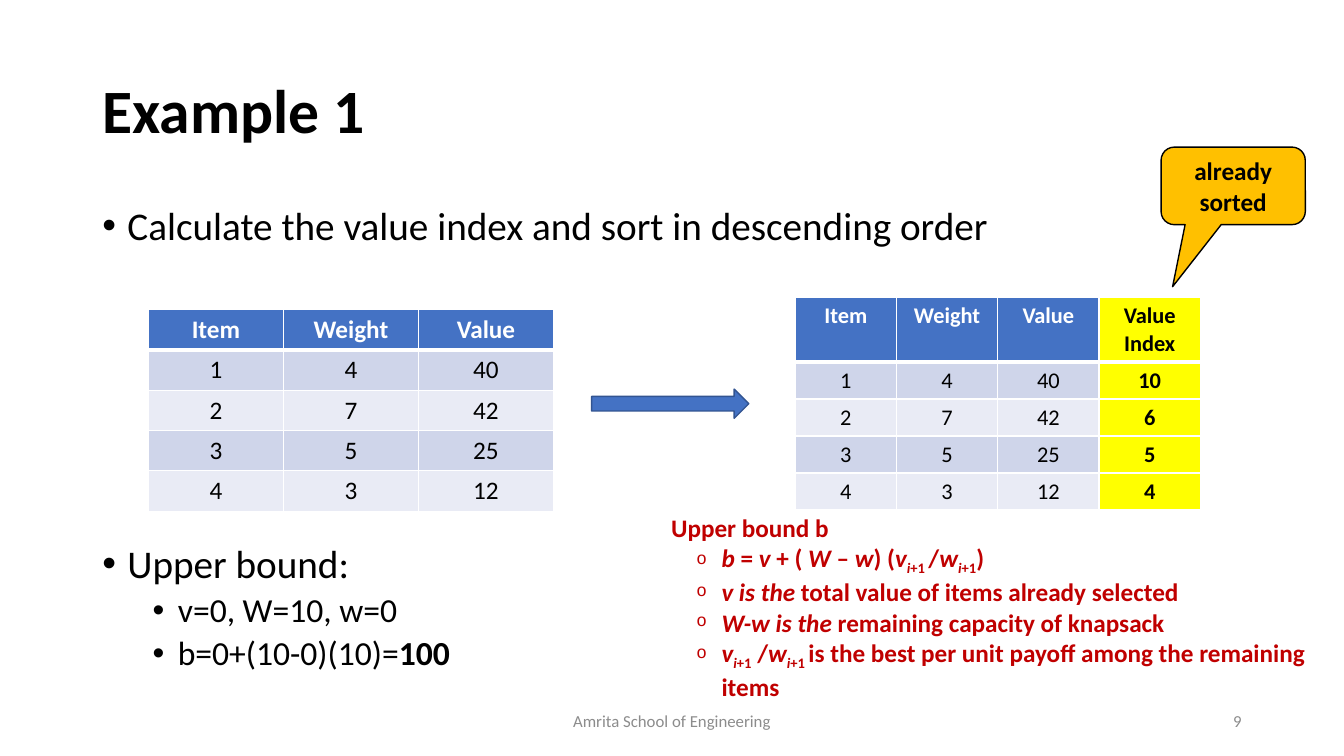
from lxml.etree import SubElement
from pptx import Presentation
from pptx.dml.color import RGBColor
from pptx.enum.shapes import MSO_SHAPE as Shape
from pptx.enum.text import MSO_ANCHOR as Anchor, PP_ALIGN as Align
from pptx.oxml.ns import qn
from pptx.util import Pt

THEME = {
    "font": "Calibri",
    "black": "000000", "white": "FFFFFF", "grey": "8C8C8C", "red": "C00000",
    "blue": "4472C4", "blue_edge": "325491", "yellow": "FFFF00", "amber": "FFC000",
    "bands": ("CFD5EA", "E9EBF5"),
    "title": 44, "body": 28, "sub": 24, "note": 18, "small": 16, "footer": 12,
}

TITLE = [("Example 1", "b")]
STEPS = [
    (0, 0, [("Calculate the value index and sort in descending order", "")]),
    (0, 211, [("Upper bound:", "")]),
    (1, 5, [("v=0, W=10, w=0", "")]),
    (1, 5, [("b=0+(10-0)(10)=", ""), ("100", "b")]),
]
FOOTER = [("Amrita School of Engineering", "")]
PAGE = [("9", "")]
CALLOUT = [("already sorted", "b")]

HEADER = ["Item", "Weight", "Value"]
ITEMS = [(1, 4, 40), (2, 7, 42), (3, 5, 25), (4, 3, 12)]
INDEXED = [(*item, item[2] // item[1]) for item in ITEMS]

BOUND_HEAD = [("Upper bound b", "b")]
BOUND = [
    [("b ", "bi"), ("= ", "b"), ("v ", "bi"), ("+ ( ", "b"), ("W ", "bi"), ("– ", "b"),
     ("w", "bi"), (") (", "b"), ("v", "bi"), ("i", "bis"), ("+1 ", "bs"), ("/", "b"),
     ("w", "bi"), ("i", "bis"), ("+1", "bs"), (")", "b")],
    [("v is the", "bi"), (" total value of items already selected", "b")],
    [("W-w is the", "bi"), (" remaining capacity of knapsack", "b")],
    [("v", "bi"), ("i", "bis"), ("+1", "bs"), (" /", "b"), ("w", "bi"), ("i", "bis"),
     ("+1 ", "bs"), ("is the best per unit payoff among the remaining items", "b")],
]


def rgb(name):
    return RGBColor.from_string(THEME.get(name, name))


def add_runs(p, runs, size, color, align=Align.LEFT):
    p.alignment = align
    for text, style in runs:
        r = p.add_run()
        r.text = text
        f = r.font
        f.name, f.size = THEME["font"], Pt(THEME[size])
        f.bold, f.italic = "b" in style, "i" in style
        f.color.rgb = rgb(color)
        if "s" in style:
            r._r.get_or_add_rPr().set("baseline", "-25000")


def add_bullet(p, char, font, left, percent=100):
    pPr = p._p.get_or_add_pPr()
    pPr.set("marL", str(Pt(left)))
    pPr.set("indent", str(-Pt(18)))
    SubElement(pPr, qn("a:buSzPct")).set("val", str(percent * 1000))
    SubElement(pPr, qn("a:buFont")).set("typeface", font)
    SubElement(pPr, qn("a:buChar")).set("char", char)


def add_box(slide, box, anchor=Anchor.TOP):
    tf = slide.shapes.add_textbox(*map(Pt, box)).text_frame
    tf.word_wrap = True
    tf.vertical_anchor = anchor
    return tf


def add_shape(slide, kind, box, fill, edge):
    sp = slide.shapes.add_shape(kind, *map(Pt, box))
    sp.shadow.inherit = False
    sp.fill.solid()
    sp.fill.fore_color.rgb = rgb(fill)
    sp.line.color.rgb = rgb(edge)
    sp.line.width = Pt(1)
    return sp


def add_borders(cell, row):
    tcPr = cell._tc.get_or_add_tcPr()
    widths = {"lnL": 1, "lnR": 1, "lnT": 3 if row == 1 else 1, "lnB": 3 if row == 0 else 1}
    for side, width in widths.items():
        ln = SubElement(tcPr, qn(f"a:{side}"))
        ln.set("w", str(Pt(width)))
        SubElement(SubElement(ln, qn("a:solidFill")), qn("a:srgbClr")).set("val", THEME["white"])


def add_items(slide, left, top, header, items, size, head_height, row_height):
    rows = [header, *items]
    width = 289.44
    height = head_height + row_height * len(items)
    table = slide.shapes.add_table(len(rows), len(header), Pt(left), Pt(top),
                                   Pt(width), Pt(height)).table
    for col in table.columns:
        col.width = Pt(width / len(header))
    for i, values in enumerate(rows):
        table.rows[i].height = Pt(row_height if i else head_height)
        for j, value in enumerate(values):
            cell = table.cell(i, j)
            marked = j == len(HEADER)
            fill = "yellow" if marked else THEME["bands"][(i - 1) % 2] if i else "blue"
            add_borders(cell, i)
            cell.fill.solid()
            cell.fill.fore_color.rgb = rgb(fill)
            add_runs(cell.text_frame.paragraphs[0],
                     [(str(value), "b" if marked or i == 0 else "")], size,
                     "black" if i or marked else "white", Align.CENTER)


def main():
    prs = Presentation()
    prs.slide_width, prs.slide_height = Pt(960), Pt(540)
    slide = prs.slides.add_slide(prs.slide_layouts[6])

    p = add_box(slide, (66, 28.8, 828, 104.4), Anchor.MIDDLE).paragraphs[0]
    p.line_spacing = 0.9
    add_runs(p, TITLE, "title", "black")

    tf = add_box(slide, (66, 144, 828, 342.6))
    for n, (level, before, runs) in enumerate(STEPS):
        p = tf.add_paragraph() if n else tf.paragraphs[0]
        p.level, p.line_spacing, p.space_before = level, 0.9, Pt(before)
        add_bullet(p, "•", "Arial", 18 + 36 * level)
        add_runs(p, runs, "sub" if level else "body", "black")

    for box, runs, align in (((318, 500.4, 324, 28.8), FOOTER, Align.CENTER),
                             ((678, 500.4, 216, 28.8), PAGE, Align.RIGHT)):
        add_runs(add_box(slide, box, Anchor.MIDDLE).paragraphs[0], runs, "footer", "grey", align)

    add_items(slide, 568, 212.4, [*HEADER, "Value Index"], INDEXED, "small", 46.2, 26.1)

    tf = add_box(slide, (472.3, 362.2, 480.2, 138.2))
    add_runs(tf.paragraphs[0], BOUND_HEAD, "note", "red")
    for runs in BOUND:
        p = tf.add_paragraph()
        p.level = 1
        add_bullet(p, "o", "Courier New", 36, 70)
        add_runs(p, runs, "note", "red")

    add_items(slide, 106, 221, HEADER, ITEMS, "note", 28.8, 28.8)

    add_shape(slide, Shape.RIGHT_ARROW, (422.6, 277.9, 112.3, 20.9), "blue", "blue_edge")

    sp = add_shape(slide, Shape.ROUNDED_RECTANGULAR_CALLOUT, (829.4, 105.1, 103, 55.4),
                   "amber", "black")
    for n, value in enumerate((-0.42, 1.3, 0.17)):
        sp.adjustments[n] = value
    sp.text_frame.word_wrap = True
    sp.text_frame.vertical_anchor = Anchor.MIDDLE
    add_runs(sp.text_frame.paragraphs[0], CALLOUT, "note", "black", Align.CENTER)

    prs.save("out.pptx")


if __name__ == "__main__":
    main()
